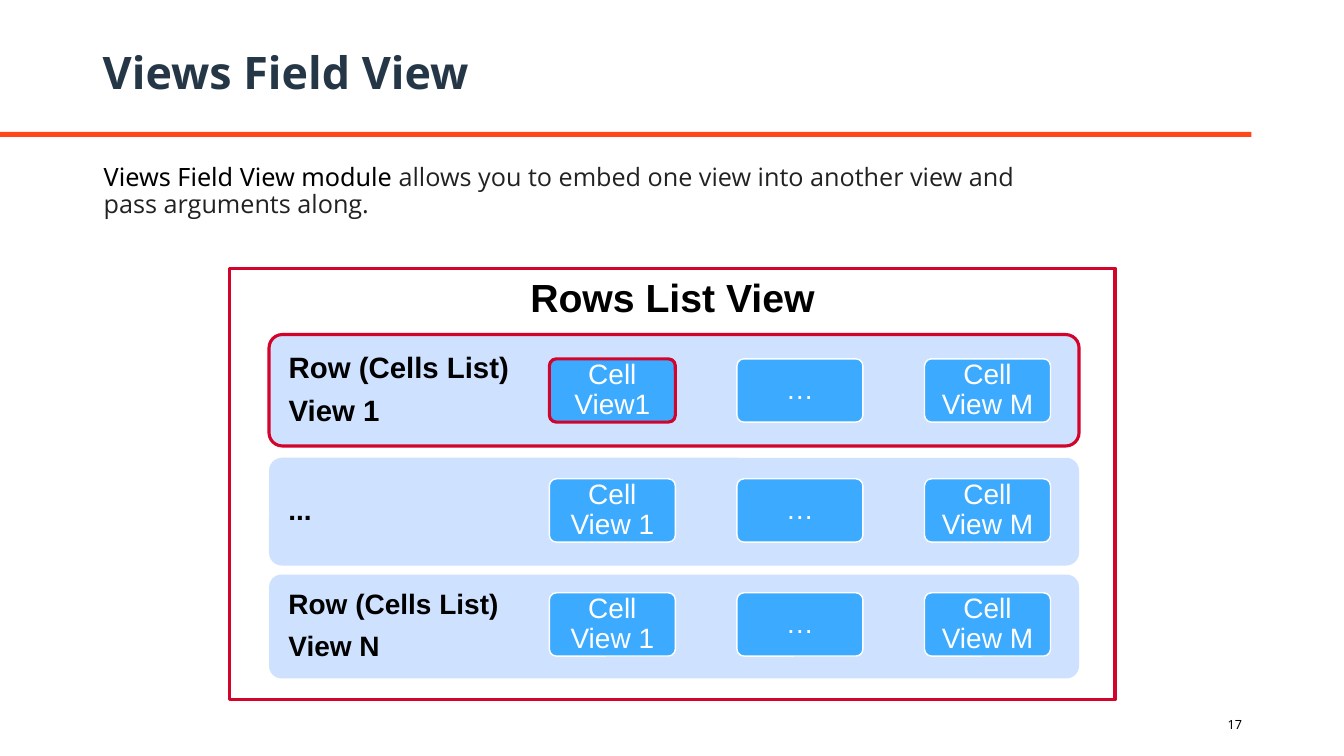
from pptx import Presentation
from pptx.dml.color import RGBColor
from pptx.enum.shapes import MSO_SHAPE
from pptx.enum.text import MSO_ANCHOR, PP_ALIGN
from pptx.util import Pt

RECT, ROUNDED = MSO_SHAPE.RECTANGLE, MSO_SHAPE.ROUNDED_RECTANGLE
LEFT, CENTER, RIGHT = PP_ALIGN.LEFT, PP_ALIGN.CENTER, PP_ALIGN.RIGHT
TOP, MIDDLE = MSO_ANCHOR.TOP, MSO_ANCHOR.MIDDLE
RED, ORANGE, NAVY, BLACK, WHITE = "D3042C", "FF4719", "253746", "000000", "FFFFFF"
PALE_BLUE, BLUE, GREY = "CEE2FF", "3CAAFF", "222222"


def write(shape, lines, font, paragraph_format, anchor=TOP, insets=(7.2, 3.6, 7.2, 3.6)):
    """Fill a shape with lines, each a list of (text, font name, colour) runs."""
    frame = shape.text_frame
    frame.word_wrap = True
    frame.vertical_anchor = anchor
    for side, inset in zip(("left", "top", "right", "bottom"), insets):
        setattr(frame, "margin_" + side, Pt(inset))
    for index, line in enumerate(lines):
        paragraph = frame.paragraphs[0] if index == 0 else frame.add_paragraph()
        for name, value in paragraph_format.items():
            setattr(paragraph, name, value)
        for text, typeface, color in line:
            run = paragraph.add_run()
            run.text = text
            run.font.name = typeface
            run.font.color.rgb = RGBColor.from_string(color)
            for name, value in font.items():
                setattr(run.font, name, value)


def add_box(kind, left, top, width, height, fill=None, outline=None, weight=1, rounding=None):
    box = slide.shapes.add_shape(kind, Pt(left), Pt(top), Pt(width), Pt(height))
    box.shadow.inherit = False
    if rounding:
        box.adjustments[0] = rounding
    if fill:
        box.fill.solid()
        box.fill.fore_color.rgb = RGBColor.from_string(fill)
    else:
        box.fill.background()
    if outline:
        box.line.color.rgb = RGBColor.from_string(outline)
        box.line.width = Pt(weight)
    else:
        box.line.fill.background()
    return box


prs = Presentation()
prs.slide_width, prs.slide_height = Pt(960), Pt(540)
slide = prs.slides.add_slide(prs.slide_layouts[5])

# Title, rule and page number
title = slide.shapes.title
title.left, title.top, title.width, title.height = Pt(66.2), Pt(20.9), Pt(828), Pt(65.5)
write(title, [[("Views Field View", "Noto Sans", NAVY)]], {"size": Pt(32), "bold": True},
      {"alignment": LEFT, "line_spacing": 0.9}, MIDDLE)
add_box(RECT, 0, 94.2, 894, 3.6, ORANGE)
page_number = slide.shapes.add_textbox(Pt(868.3), Pt(508.3), Pt(25.9), Pt(18))
write(page_number, [[("17", "Noto Sans", BLACK)]], {"size": Pt(9)}, {"alignment": RIGHT})

# Introduction
introduction = slide.shapes.add_textbox(Pt(67), Pt(113.8), Pt(831), Pt(51.1))
write(introduction, [
    [("Views Field View module", "Noto Sans", BLACK),
     (" allows you to embed one view into another view and", "Open Sans", GREY)],
    [("pass arguments along.", "Open Sans", GREY)],
], {"size": Pt(18)}, {"alignment": LEFT, "line_spacing": 0.9})

# Nested views: the list holds rows, each row holds cells
rows_list = add_box(RECT, 164.2, 191.5, 632.2, 308.2, outline=RED, weight=2.25)
write(rows_list, [[("Rows List View", "Arial", BLACK)]], {"size": Pt(28), "bold": True},
      {"alignment": CENTER})

CELL_LEFT, CELL_STEP, CELL_WIDTH, CELL_HEIGHT = 392.4, 134, 90, 45.2
rows = [  # label, label size, top, height, cell top, first cell, outline
    (["Row (Cells List)", "View 1"], 21, 239, 79.6, 256.3, "Cell View1", RED),
    (["..."], 20, 327, 77, 342, "Cell View 1", None),
    (["Row (Cells List)", "View N"], 20, 410.4, 74.2, 423.4, "Cell View 1", None),
]
for label, size, top, height, cell_top, first_cell, outline in rows:
    row = add_box(ROUNDED, 192.2, top, 578.6, height, PALE_BLUE, outline, 2.25, 0.12)
    write(row, [[(line, "Arial", BLACK)] for line in label], {"size": Pt(size), "bold": True},
          {"alignment": LEFT, "line_spacing": 0.9, "space_after": Pt(8)},
          MIDDLE, (11.2, 11.2, 263, 11.2))
    for column, cell_text in enumerate([first_cell, "…", "Cell View M"]):
        highlighted = outline and column == 0
        cell = add_box(ROUNDED, CELL_LEFT + column * CELL_STEP, cell_top, CELL_WIDTH, CELL_HEIGHT,
                       BLUE, RED if highlighted else WHITE, 2.25 if highlighted else 1, 0.11)
        write(cell, [[(cell_text, "Arial", WHITE)]], {"size": Pt(20)},
              {"alignment": CENTER, "line_spacing": 0.9}, MIDDLE, (5, 3.6, 5, 3.6))

prs.save("out.pptx")
